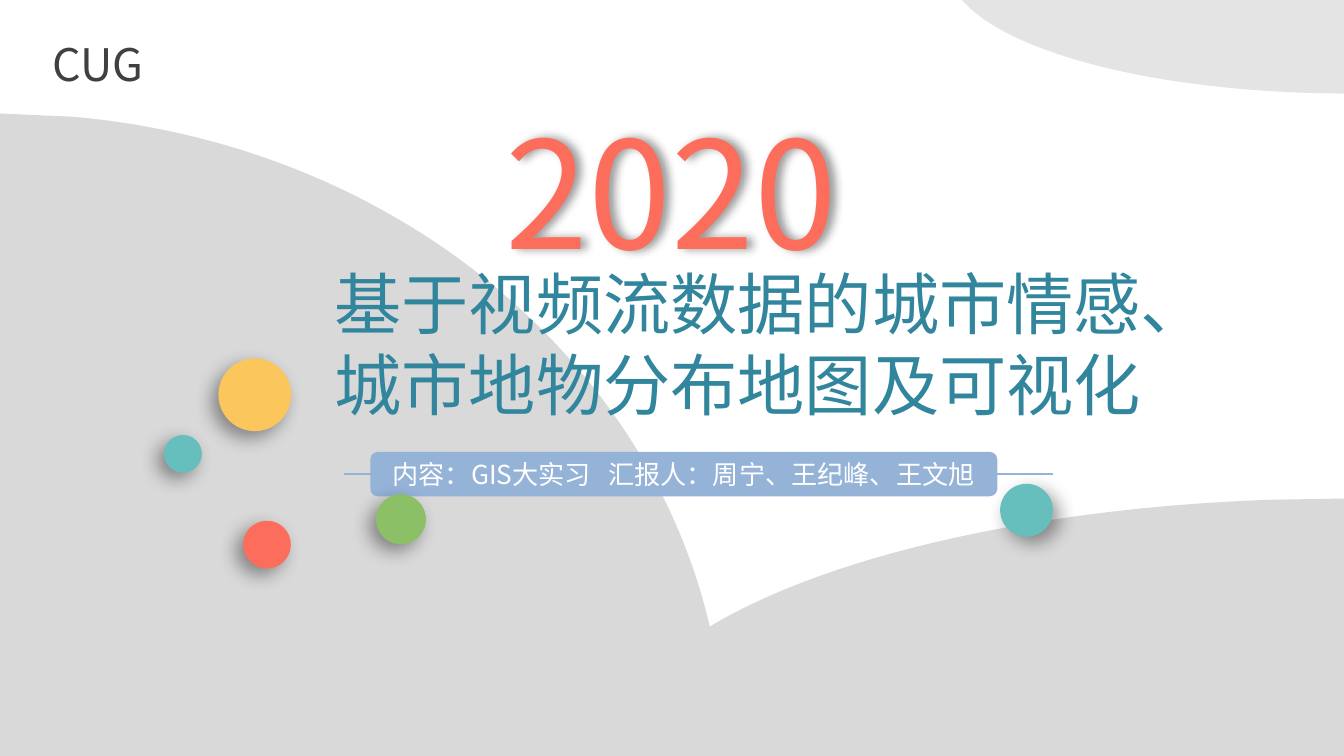
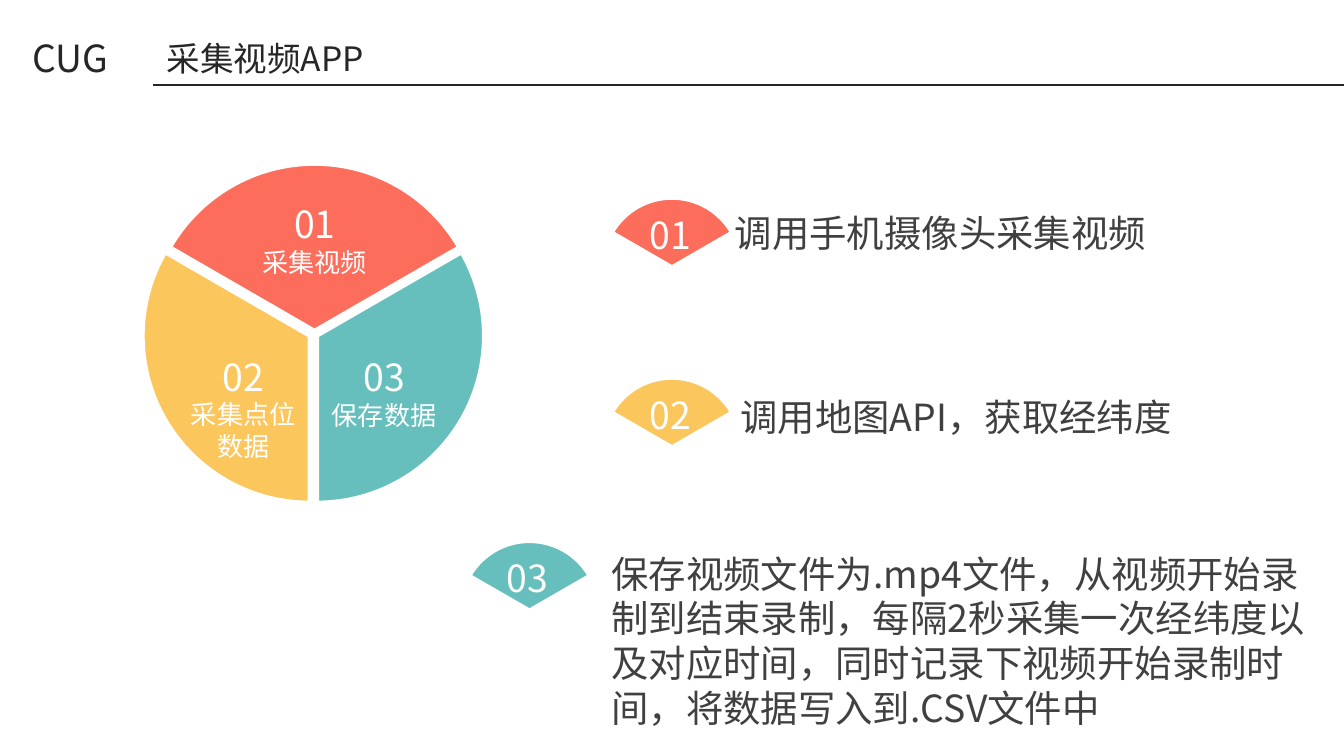
from lxml import etree
from pptx import Presentation
from pptx.dml.color import RGBColor
from pptx.enum.shapes import MSO_CONNECTOR, MSO_SHAPE
from pptx.enum.text import MSO_ANCHOR, MSO_AUTO_SIZE, PP_ALIGN
from pptx.oxml.ns import qn
from pptx.util import Pt

STRAIGHT = MSO_CONNECTOR.STRAIGHT
OVAL, PIE, ROUNDED = MSO_SHAPE.OVAL, MSO_SHAPE.PIE, MSO_SHAPE.ROUNDED_RECTANGLE
LEFT, CENTER = PP_ALIGN.LEFT, PP_ALIGN.CENTER
MIDDLE = MSO_ANCHOR.MIDDLE
FIT, FIXED = MSO_AUTO_SIZE.SHAPE_TO_FIT_TEXT, MSO_AUTO_SIZE.NONE

WHITE = RGBColor(0xFF, 0xFF, 0xFF)
INK = RGBColor(0x26, 0x26, 0x26)
GRAPHITE = RGBColor(0x40, 0x40, 0x40)
MIST = RGBColor(0xD9, 0xD9, 0xD9)
CORAL = RGBColor(0xFC, 0x6D, 0x5C)
AMBER = RGBColor(0xFB, 0xC6, 0x5C)
TEAL = RGBColor(0x66, 0xBF, 0xBD)
GREEN = RGBColor(0x8B, 0xC0, 0x66)
SEA = RGBColor(0x31, 0x85, 0x9C)
SKY = RGBColor(0x95, 0xB3, 0xD7)

FONT = "Noto Sans CJK SC"
YEAR_FONT = "Noto Sans CJK JP"
SLIDE_WIDTH, SLIDE_HEIGHT = 720, 405
MARK = "CUG"


# Shared helpers
def style_paragraph(paragraph, size, color, align=LEFT, font=FONT):
    paragraph.alignment = align
    paragraph.font.size = Pt(size)
    paragraph.font.color.rgb = color
    paragraph.font.name = font
    defaults = paragraph._p.get_or_add_pPr().find(qn("a:defRPr"))
    etree.SubElement(defaults, qn("a:ea"), typeface=font)


def add_shadow(shape, blur, distance, angle):
    shape.shadow.inherit = False
    effects = shape._element.spPr.find(qn("a:effectLst"))
    outer = etree.SubElement(
        effects, qn("a:outerShdw"), blurRad=str(Pt(blur)), dist=str(Pt(distance)),
        dir=str(angle * 60000), algn="ctr", rotWithShape="0")
    black = etree.SubElement(outer, qn("a:srgbClr"), val="000000")
    etree.SubElement(black, qn("a:alpha"), val="40000")


def add_text(slide, box, lines, color, align=LEFT, font=FONT, wrap=False, grow=FIT):
    """Lines are (text, size) pairs, one paragraph each."""
    holder = slide.shapes.add_textbox(*map(Pt, box))
    frame = holder.text_frame
    frame.word_wrap = wrap
    frame.auto_size = grow
    for index, (text, size) in enumerate(lines):
        paragraph = frame.add_paragraph() if index else frame.paragraphs[0]
        paragraph.text = text
        style_paragraph(paragraph, size, color, align, font)
    return holder


def add_filled(slide, kind, box, color, outline=None):
    shape = slide.shapes.add_shape(kind, *map(Pt, box))
    shape.shadow.inherit = False
    shape.fill.solid()
    shape.fill.fore_color.rgb = color
    if outline is None:
        shape.line.fill.background()
    else:
        shape.line.color.rgb = outline
        shape.line.width = Pt(2)
    return shape


def add_rule(slide, left, right, y, color):
    rule = slide.shapes.add_connector(STRAIGHT, Pt(left), Pt(y), Pt(right), Pt(y))
    rule.line.color.rgb = color
    rule.line.width = Pt(1)
    etree.SubElement(rule._element.spPr, qn("a:effectLst"))


# Cover elements
def add_hill(slide, corner, start, first, second, end, edge, alpha=None):
    """Grey area: corner, straight to start, curve to end, straight to edge."""
    builder = slide.shapes.build_freeform(*map(Pt, corner))
    outline = (start, first, second, end, edge)
    builder.add_line_segments([(Pt(x), Pt(y)) for x, y in outline], close=True)
    hill = builder.convert_to_shape()
    # Turn the segments through both control points into one cubic curve
    bends = list(hill._element.spPr.iter(qn("a:lnTo")))[1:4]
    curve = etree.Element(qn("a:cubicBezTo"))
    bends[0].addprevious(curve)
    for bend in bends:
        curve.append(bend[0])
        bend.getparent().remove(bend)
    hill.shadow.inherit = False
    hill.fill.solid()
    hill.fill.fore_color.rgb = MIST
    hill.line.fill.background()
    if alpha is not None:
        tint = hill._element.spPr.find(qn("a:solidFill"))[0]
        etree.SubElement(tint, qn("a:alpha"), val=str(alpha * 1000))


def add_bubble(slide, left, top, size, color, angle):
    bubble = add_filled(slide, OVAL, (left, top, size, size), color)
    add_shadow(bubble, 10, 5, angle)


def add_presenter_pill(slide):
    add_rule(slide, 184.3, 564, 254, SKY)
    pill = add_filled(slide, ROUNDED, (198.4, 242.1, 335.9, 23.8), SKY)
    frame = pill.text_frame
    frame.word_wrap = False
    frame.vertical_anchor = MIDDLE
    paragraph = frame.paragraphs[0]
    for text in ("内容：GIS大实习", " ", "汇报人：周宁、王纪峰、王文旭"):
        paragraph.add_run().text = text
    # Widen the gap between topic and presenters
    paragraph.runs[1]._r.get_or_add_rPr().set("spc", "600")
    style_paragraph(paragraph, 14, WHITE, CENTER)


def build_cover(slide):
    # Background
    add_hill(slide, (720, 406), (326.2, 406), (326.2, 334), (481, 275),
             (679.7, 267.8), (720, 267.1))
    add_hill(slide, (0, 405), (388.1, 405), (388.1, 227), (235.4, 80),
             (39.6, 62.6), (0, 60.8))
    add_hill(slide, (720.7, -18.7), (507.6, -18.7), (507.6, 17.3), (591, 46),
             (699, 49.7), (720.7, 50.2), alpha=70)

    # Titles
    year = add_text(slide, (263.7, 50, 198, 104.4), [("2020", 80)], CORAL, font=YEAR_FONT)
    add_shadow(year, 5, 3, 0)
    add_text(slide, (172.1, 137, 450, 94.3),
             [("基于视频流数据的城市情感、城市地物分布地图及可视化", 36)], SEA, wrap=True)
    add_presenter_pill(slide)
    add_text(slide, (20.9, 16.1, 67, 36), [(MARK, 24)], GRAPHITE)

    # Bubbles
    for left, top, size, color, angle in (
            (87.9, 233, 20.3, TEAL, 135),
            (130.3, 279, 25.5, CORAL, 135),
            (201.4, 264.8, 26.8, GREEN, 135),
            (117, 192, 39, AMBER, 135),
            (535.8, 259.2, 28.3, TEAL, 45)):
        add_bubble(slide, left, top, size, color, angle)


# Capture steps elements
def add_sector(slide, left, top, size, color, rotation):
    sector = add_filled(slide, PIE, (left, top, size, size), color, WHITE)
    sector.adjustments[0] = 162
    sector.adjustments[1] = 18
    sector.rotation = rotation


def add_wheel_part(slide, number, captions, corner, rotation, label_corner, color):
    add_sector(slide, *corner, 178.6, color, rotation)
    lines = [(number, 20)] + [(caption, 14) for caption in captions]
    label = add_text(slide, (*label_corner, 71.3, 60.5), lines, WHITE, CENTER)
    label.text_frame.paragraphs[0].line_spacing = 1.5


def add_step(slide, number, left, top, color, description, box):
    add_text(slide, box, [(description, 20)], GRAPHITE, wrap=True)
    add_sector(slide, left, top, 74.2, color, 300)
    add_text(slide, (left + 17.9, top + 4.2, 38.2, 31.7), [(number, 20)], WHITE)


def build_capture_steps(slide):
    # Header
    add_text(slide, (82.1, 16.6, 122.4, 28.8), [("采集视频APP", 18)], INK,
             wrap=True, grow=FIXED)
    add_rule(slide, 82, SLIDE_WIDTH, 45.4, INK)
    add_text(slide, (10.3, 15.1, 58.3, 31.7), [(MARK, 20)], INK)

    # Steps
    add_step(slide, "01", 322.9, 106, CORAL,
             "调用手机摄像头采集视频", (386.6, 109, 260, 31.7))
    add_step(slide, "02", 322.9, 202.4, AMBER,
             "调用地图API，获取经纬度", (389.5, 207.4, 260, 31.7))
    add_step(slide, "03", 246.6, 289.9, TEAL,
             "保存视频文件为.mp4文件，从视频开始录制到结束录制，每隔2秒采集一次经纬度"
             "以及对应时间，同时记录下视频开始录制时间，将数据写入到.CSV文件中",
             (320.4, 291.5, 391, 104.4))

    # Wheel
    add_wheel_part(slide, "01", ["采集视频"], (79.2, 87.8), 300, (133, 92.2), CORAL)
    add_wheel_part(slide, "02", ["采集点位", "数据"], (76.5, 90.6), 180, (94.7, 174.1), AMBER)
    add_wheel_part(slide, "03", ["保存数据"], (80.6, 90.6), 60, (170.2, 174.2), TEAL)


def main():
    deck = Presentation()
    deck.slide_width, deck.slide_height = Pt(SLIDE_WIDTH), Pt(SLIDE_HEIGHT)
    blank = deck.slide_layouts[6]
    for build in (build_cover, build_capture_steps):
        build(deck.slides.add_slide(blank))
    deck.save("out.pptx")


if __name__ == "__main__":
    main()
